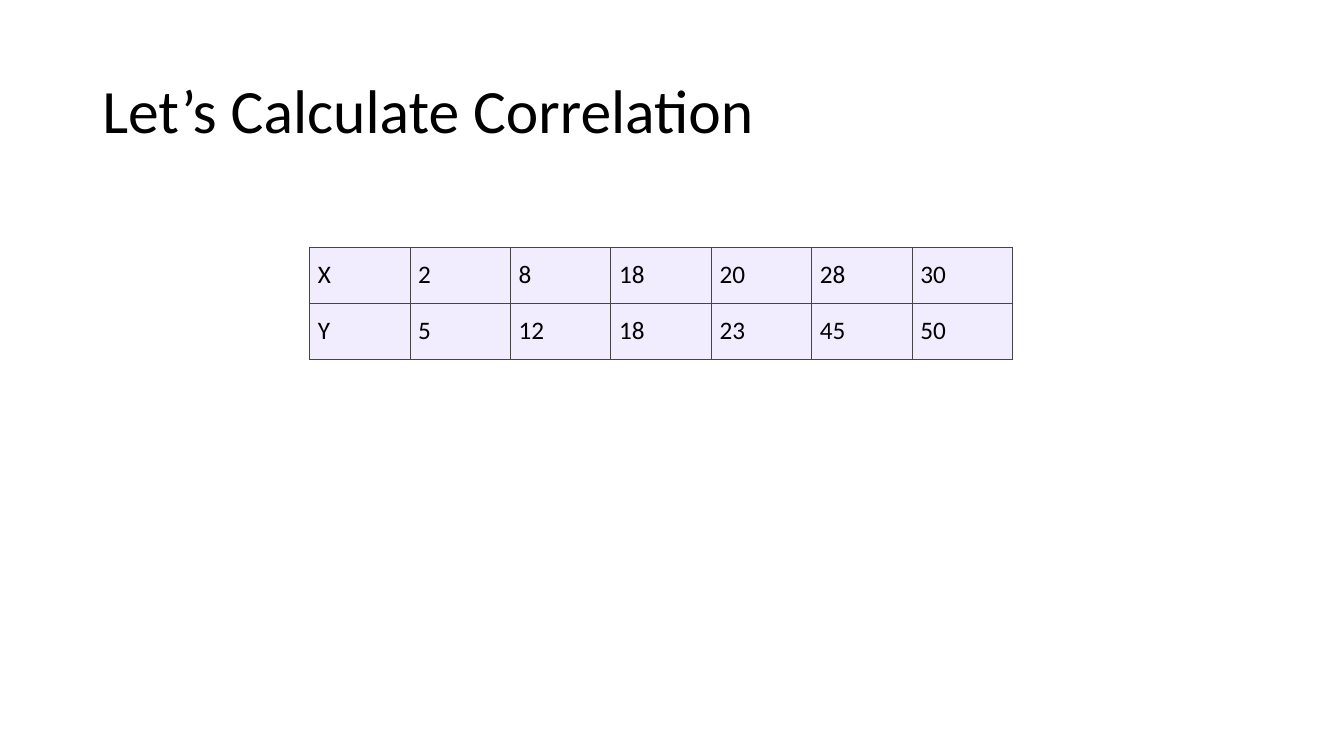
from lxml.etree import SubElement
from pptx import Presentation
from pptx.dml.color import RGBColor
from pptx.enum.text import MSO_ANCHOR
from pptx.oxml.ns import qn
from pptx.util import Pt

HUES = {"ink": "000000", "cell": "F1EDFF", "rule": "444444"}
FONT = "Calibri"
DATA = [
    ["X", 2, 8, 18, 20, 28, 30],
    ["Y", 5, 12, 18, 23, 45, 50],
]
TITLE = {"word_wrap": True, "vertical_anchor": MSO_ANCHOR.MIDDLE,
         "margin_left": Pt(7.2), "margin_right": Pt(7.2),
         "margin_top": Pt(3.6), "margin_bottom": Pt(3.6)}
CELL = {"vertical_anchor": MSO_ANCHOR.MIDDLE,
        "margin_left": Pt(6), "margin_right": Pt(6),
        "margin_top": Pt(8.5), "margin_bottom": Pt(8.5)}
PLAIN = {"first_row": False, "horz_banding": False}


def style(item, form):
    for name, value in form.items():
        setattr(item, name, value)


def write(para, text, size):
    run = para.add_run()
    run.text = str(text)
    style(run.font, {"name": FONT, "size": Pt(size)})
    run.font.color.rgb = RGBColor.from_string(HUES["ink"])


def border(cell, widths):
    # Border lines must come before the cell fill
    props = cell._tc.get_or_add_tcPr()
    for side, width in widths.items():
        line = SubElement(props, qn(f"a:ln{side}"), w=str(Pt(width)))
        fill = SubElement(line, qn("a:solidFill"))
        SubElement(fill, qn("a:srgbClr"), val=HUES["rule"])


def add_title(slide, box, text):
    frame = slide.shapes.add_textbox(*map(Pt, box)).text_frame
    style(frame, TITLE)
    para = frame.paragraphs[0]
    para.line_spacing = 0.9
    write(para, text, 44)


def add_grid(slide, box, data):
    count, span = len(data), len(data[0])
    table = slide.shapes.add_table(count, span, *map(Pt, box)).table
    style(table, PLAIN)
    for col in table.columns:
        col.width = Pt(box[2] / span)
    for r, row in enumerate(data):
        table.rows[r].height = Pt(box[3] / count)
        base = 0.75 if r == count - 1 else 0.38
        for c, value in enumerate(row):
            cell = table.cell(r, c)
            style(cell, CELL)
            border(cell, {"L": 0.38, "R": 0.38, "T": 0.38, "B": base})
            cell.fill.solid()
            cell.fill.fore_color.rgb = RGBColor.from_string(HUES["cell"])
            write(cell.text_frame.paragraphs[0], value, 18)


def main():
    deck = Presentation()
    style(deck, {"slide_width": Pt(960), "slide_height": Pt(540)})
    slide = deck.slides.add_slide(deck.slide_layouts[6])
    # Heading
    add_title(slide, (66, 28.75, 828, 104.4), "Let’s Calculate Correlation")
    # Paired values
    add_grid(slide, (221, 176.5, 502.25, 80), DATA)
    deck.save("out.pptx")


if __name__ == "__main__":
    main()
